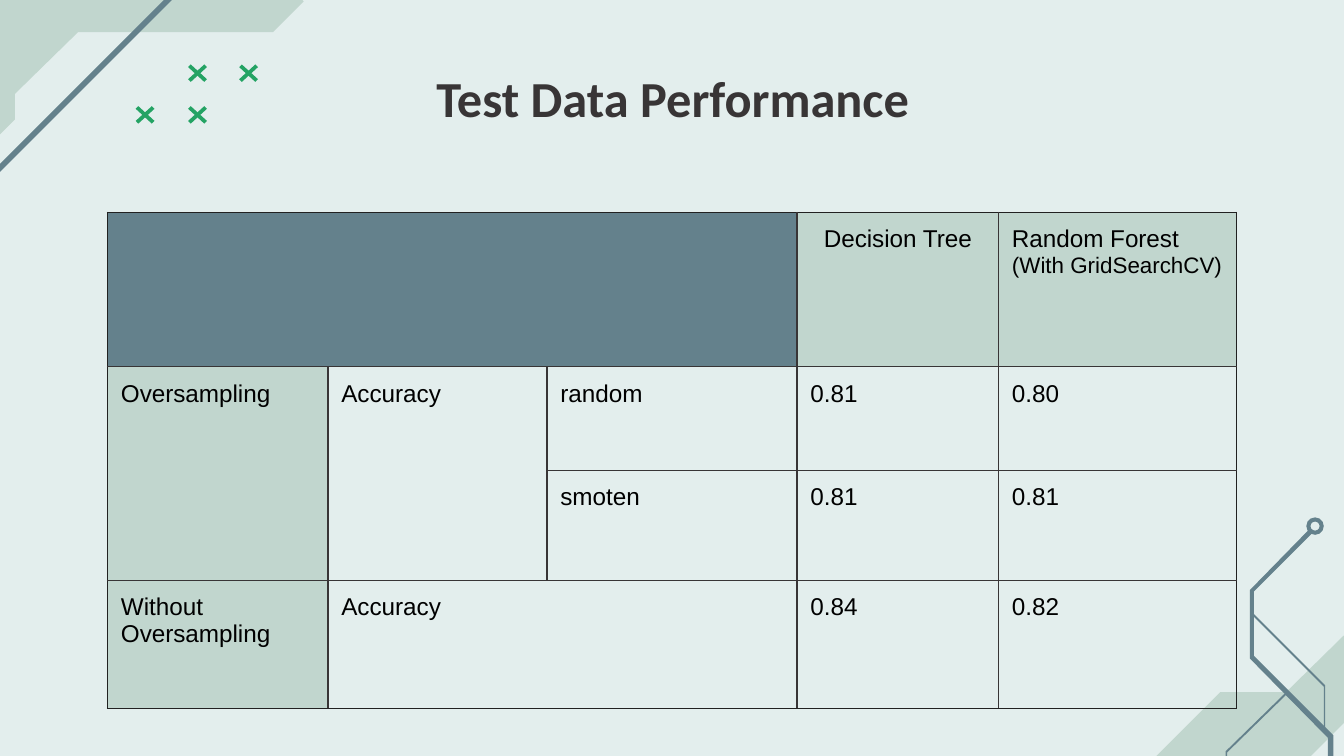
from lxml import etree
from pptx import Presentation
from pptx import util as u
from pptx.dml.color import RGBColor
from pptx.enum import shapes, text
from pptx.oxml.ns import qn

COLORS = {
    "background": "E3EEED", "sage": "C1D6CE", "slate": "64818C", "green": "24A364",
    "title": "383536", "text": "000000", "grid": "383536", "frame": "212121",
}
SLIDE_WIDTH = u.Inches(10)
SLIDE_HEIGHT = SLIDE_WIDTH * 9 // 16
UNIT = SLIDE_WIDTH // 1000  # the slide is a grid of 1000 columns


def draw_outline(points, color):
    """Draw a closed, filled polygon from (column, row) points."""
    builder = slide.shapes.build_freeform(*points[0], scale=UNIT)
    builder.add_line_segments(points[1:], close=True)
    shape = builder.convert_to_shape()
    shape.shadow.inherit = False
    shape.fill.solid()
    shape.fill.fore_color.rgb = RGBColor.from_string(COLORS[color])
    shape.line.fill.background()


def write_text(paragraph, words, size=13, font="Arial", color="text", bold=False,
               align=text.PP_ALIGN.LEFT):
    paragraph.alignment = align
    run = paragraph.add_run()
    run.text = words
    run.font.size = u.Pt(size)
    run.font.name = font
    run.font.bold = bold
    run.font.color.rgb = RGBColor.from_string(COLORS[color])


presentation = Presentation()
presentation.slide_width = SLIDE_WIDTH
presentation.slide_height = SLIDE_HEIGHT
slide = presentation.slides.add_slide(presentation.slide_layouts[5])
slide.background.fill.solid()
slide.background.fill.fore_color.rgb = RGBColor.from_string(COLORS["background"])

# Corner bands and circuit traces
corner_outlines = [
    ("sage", [(1012, 461), (957, 515), (908, 515), (798, 625), (901, 625), (933, 594),
              (944, 594), (1077, 461)]),
    ("slate", [(737, 763), (734, 760), (823, 672), (823, 671), (894, 671), (988, 576),
               (988, 549), (930, 490), (930, 439), (974, 394), (976, 397), (933, 440),
               (933, 488), (992, 547), (992, 578), (895, 674), (895, 675), (825, 675)]),
    ("slate", [(854, 673), (912, 614), (912, 559), (957, 515), (958, 516), (913, 560),
               (913, 615)]),
    ("slate", [(985, 543), (985, 511), (931, 457), (932, 456), (986, 510), (986, 543)]),
    ("sage", [(-316, 416), (-318, 414), (-35, 131), (-35, 24), (52, -63), (144, -156),
              (407, -419), (410, -417), (153, -160), (153, -69), (226, 1), (203, 24),
              (58, 24), (11, 70), (11, 89), (-35, 135)]),
    ("slate", [(-91, 139), (-11, 139), (145, -17), (192, -17), (192, -21), (143, -21),
               (-13, 135), (-91, 135)]),
]
for color, points in corner_outlines:
    draw_outline(points, color)

ring = slide.shapes.add_shape(shapes.MSO_SHAPE.DONUT, 972 * UNIT, 385 * UNIT,
                              13 * UNIT, 13 * UNIT)
ring.adjustments[0] = 0.24
ring.shadow.inherit = False
ring.fill.solid()
ring.fill.fore_color.rgb = RGBColor.from_string(COLORS["slate"])
ring.line.fill.background()

# Green crosses, each made of a bar and its mirror image
CROSS = 14
bar = [(2, 0), (CROSS, 11), (12, 13), (0, 2)]
for left, top in [(140, 48), (178, 48), (101, 79), (140, 79)]:
    draw_outline([(left + x, top + y) for x, y in bar], "green")
    draw_outline([(left + CROSS - x, top + y) for x, y in bar], "green")

# Title
title = slide.shapes.title
title.left, title.top, title.width, title.height = (n * UNIT for n in (48, 40, 905, 81))
frame = title.text_frame
frame.auto_size = text.MSO_AUTO_SIZE.NONE
frame.vertical_anchor = text.MSO_ANCHOR.TOP
frame.margin_left = frame.margin_right = frame.margin_top = frame.margin_bottom = 10 * UNIT
write_text(frame.paragraphs[0], "Test Data Performance", size=27, font="Calibri",
           color="title", bold=True, align=text.PP_ALIGN.CENTER)

# Results table
column_widths = [164, 163, 186, 150, 177]
row_heights = [115, 77, 82, 95]
table = slide.shapes.add_table(
    len(row_heights), len(column_widths), 80 * UNIT, 158 * UNIT,
    sum(column_widths) * UNIT, sum(row_heights) * UNIT).table
for column, width in zip(table.columns, column_widths):
    column.width = width * UNIT
for row, height in zip(table.rows, row_heights):
    row.height = height * UNIT

# Cells that share a letter have no border between them
regions = ["aaabc", "defgh", "deijk", "lmmno"]
fills = {"a": "slate", "b": "sage", "c": "sage", "d": "sage", "l": "sage"}
sides = {"a:lnL": (0, -1), "a:lnR": (0, 1), "a:lnT": (-1, 0), "a:lnB": (1, 0)}
for r, letters in enumerate(regions):
    for c, letter in enumerate(letters):
        cell = table.cell(r, c)
        cell.margin_left = cell.margin_right = 10 * UNIT
        cell.margin_top = cell.margin_bottom = 10 * UNIT
        properties = cell._tc.get_or_add_tcPr()
        for tag, (down, across) in sides.items():
            line = etree.SubElement(properties, qn(tag), w=str(u.Pt(0.75)))
            row, column = r + down, c + across
            inside = 0 <= row < len(regions) and 0 <= column < len(letters)
            if inside and regions[row][column] == letter:
                etree.SubElement(line, qn("a:noFill"))
            else:
                paint = etree.SubElement(line, qn("a:solidFill"))
                etree.SubElement(paint, qn("a:srgbClr"),
                                 val=COLORS["grid" if inside else "frame"])
        if letter in fills:
            cell.fill.solid()
            cell.fill.fore_color.rgb = RGBColor.from_string(COLORS[fills[letter]])
        else:
            cell.fill.background()

for first, last in [((0, 1), (0, 2)), ((1, 0), (2, 0)), ((1, 1), (2, 1)), ((3, 1), (3, 2))]:
    table.cell(*first).merge(table.cell(*last))

results = [
    ["", "", "", "", "Random Forest"],
    ["Oversampling", "Accuracy", "random", "0.81", "0.80"],
    ["", "", "smoten", "0.81", "0.81"],
    ["Without Oversampling", "Accuracy", "", "0.84", "0.82"],
]
for r, row in enumerate(results):
    for c, words in enumerate(row):
        if words:
            write_text(table.cell(r, c).text_frame.paragraphs[0], words)
write_text(table.cell(0, 3).text_frame.paragraphs[0], "Decision Tree",
           align=text.PP_ALIGN.CENTER)
write_text(table.cell(0, 4).text_frame.add_paragraph(), "(With GridSearchCV)", size=12)

presentation.save("out.pptx")
